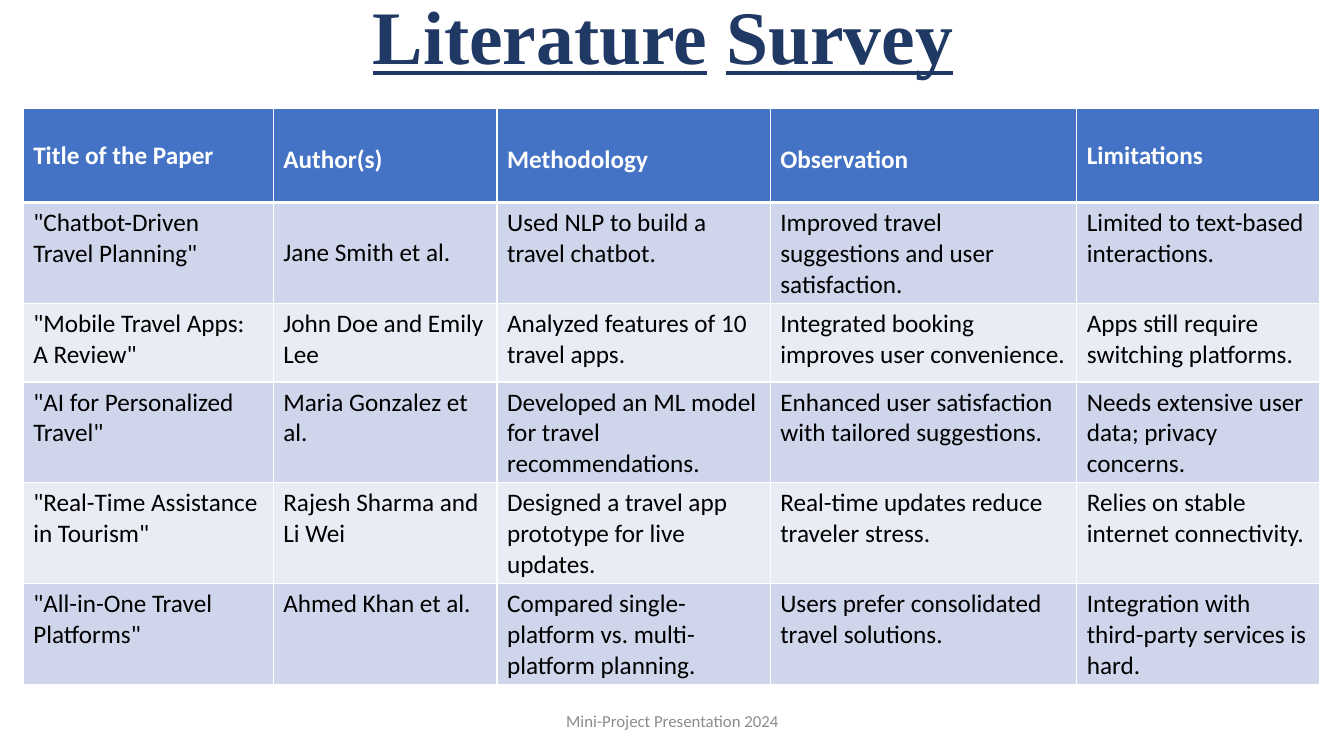
from lxml import etree
from pptx import Presentation
from pptx.dml.color import RGBColor
from pptx.enum import text
from pptx.oxml import ns
from pptx.util import Inches, Pt

WHITE, BLACK, NAVY, GRAY = "FFFFFF", "000000", "203864", "8C8C8C"
HEADER_FILL, BAND_FILLS = "4472C4", ("E9EBF5", "CFD5EA")
COLUMN_WIDTHS = (2.48, 2.22, 2.71, 3.04, 2.41)
ROW_HEIGHTS = (0.93, 0.93, 0.78, 0.93, 0.93, 0.93)
HEADERS = ("Title of the Paper", "Author(s)", "Methodology", "Observation", "Limitations")
PAPERS = (
    ('"Chatbot-Driven Travel Planning"', "Jane Smith et al.",
     "Used NLP to build a travel chatbot.",
     "Improved travel suggestions and user satisfaction.",
     "Limited to text-based interactions."),
    ('"Mobile Travel Apps: A Review"', "John Doe and Emily Lee",
     "Analyzed features of 10 travel apps.",
     "Integrated booking improves user convenience.",
     "Apps still require switching platforms."),
    ('"AI for Personalized Travel"', "Maria Gonzalez et al.",
     "Developed an ML model for travel recommendations.",
     "Enhanced user satisfaction with tailored suggestions.",
     "Needs extensive user data; privacy concerns."),
    ('"Real-Time Assistance in Tourism"', "Rajesh Sharma and Li Wei",
     "Designed a travel app prototype for live updates.",
     "Real-time updates reduce traveler stress.",
     "Relies on stable internet connectivity."),
    ('"All-in-One Travel Platforms"', "Ahmed Khan et al.",
     "Compared single-platform vs. multi-platform planning.",
     "Users prefer consolidated travel solutions.",
     "Integration with third-party services is hard."),
)


def rgb(value):
    return RGBColor.from_string(value)


def style_font(font, size, color, name="Calibri", bold=False):
    font.size, font.name, font.bold = Pt(size), name, bold
    font.color.rgb = rgb(color)


def add_text_frame(slide, box):
    tf = slide.shapes.add_textbox(*map(Inches, box)).text_frame
    tf.word_wrap = True
    tf.vertical_anchor = text.MSO_ANCHOR.MIDDLE
    return tf


def add_title(slide, box):
    p = add_text_frame(slide, box).paragraphs[0]
    p.line_spacing = 0.9
    for words in ("Literature", " ", "Survey"):
        r = p.add_run()
        r.text = words
        style_font(r.font, 54, NAVY, "Times New Roman", True)
        r.font.underline = words != " "


def add_footer(slide, box):
    p = add_text_frame(slide, box).paragraphs[0]
    p.text = "Mini-Project Presentation 2024"
    p.alignment = text.PP_ALIGN.CENTER
    style_font(p.runs[0].font, 12, GRAY)


def set_borders(cell, top, bottom):
    """Draw white cell borders; top and bottom are widths in points."""
    tc_pr = cell._tc.get_or_add_tcPr()
    for side, width in (("L", 1), ("R", 1), ("T", top), ("B", bottom)):
        ln = etree.SubElement(tc_pr, ns.qn("a:ln" + side), w=str(Pt(width)))
        fill = etree.SubElement(ln, ns.qn("a:solidFill"))
        etree.SubElement(fill, ns.qn("a:srgbClr"), val=WHITE)


def fill_cell(cell, words, row, col):
    header = row == 0
    set_borders(cell, 3 if row == 1 else 1, 3 if header else 1)
    cell.fill.solid()
    cell.fill.fore_color.rgb = rgb(HEADER_FILL if header else BAND_FILLS[row % 2])
    cell.text = words
    style_font(cell.text_frame.paragraphs[0].runs[0].font, 18,
               WHITE if header else BLACK, bold=header)
    if (row, col) in ((0, 0), (0, 4), (1, 1)):
        cell.vertical_anchor = text.MSO_ANCHOR.MIDDLE
    elif header:
        cell.margin_top = Inches(0.35)


def add_survey_table(slide, box):
    rows = (HEADERS,) + PAPERS
    table = slide.shapes.add_table(len(rows), len(HEADERS), *map(Inches, box)).table
    for column, width in zip(table.columns, COLUMN_WIDTHS):
        column.width = Inches(width)
    for i, (height, values) in enumerate(zip(ROW_HEIGHTS, rows)):
        table.rows[i].height = Inches(height)
        for j, words in enumerate(values):
            fill_cell(table.cell(i, j), words, i, j)
    # Alternate rows start with the darker band.
    return table


def main():
    prs = Presentation()
    prs.slide_width, prs.slide_height = Inches(13.33), Inches(7.5)
    slide = prs.slides.add_slide(prs.slide_layouts[6])
    add_title(slide, (3.6, 0.1, 6.5, 0.59))
    add_footer(slide, (4.42, 6.95, 4.5, 0.4))
    add_survey_table(slide, (0.23, 1.08, sum(COLUMN_WIDTHS), sum(ROW_HEIGHTS)))
    prs.save("out.pptx")


if __name__ == "__main__":
    main()
